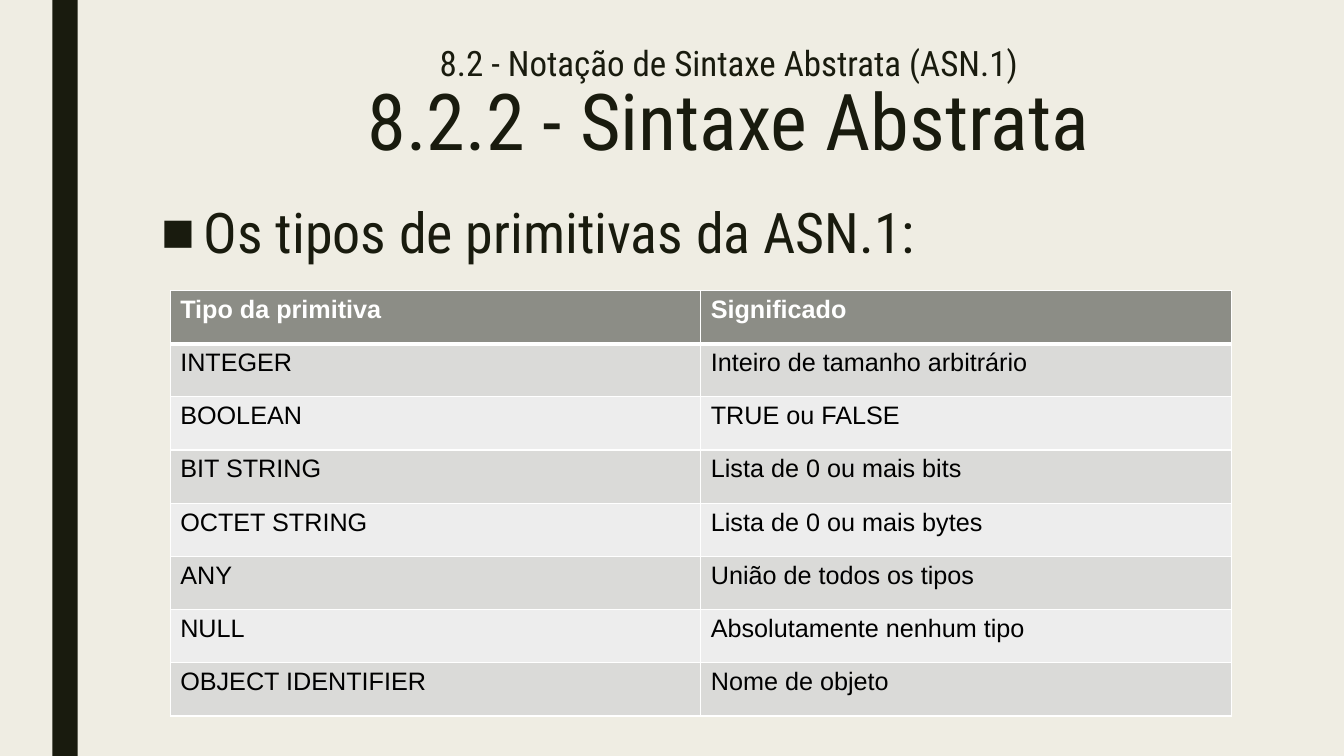
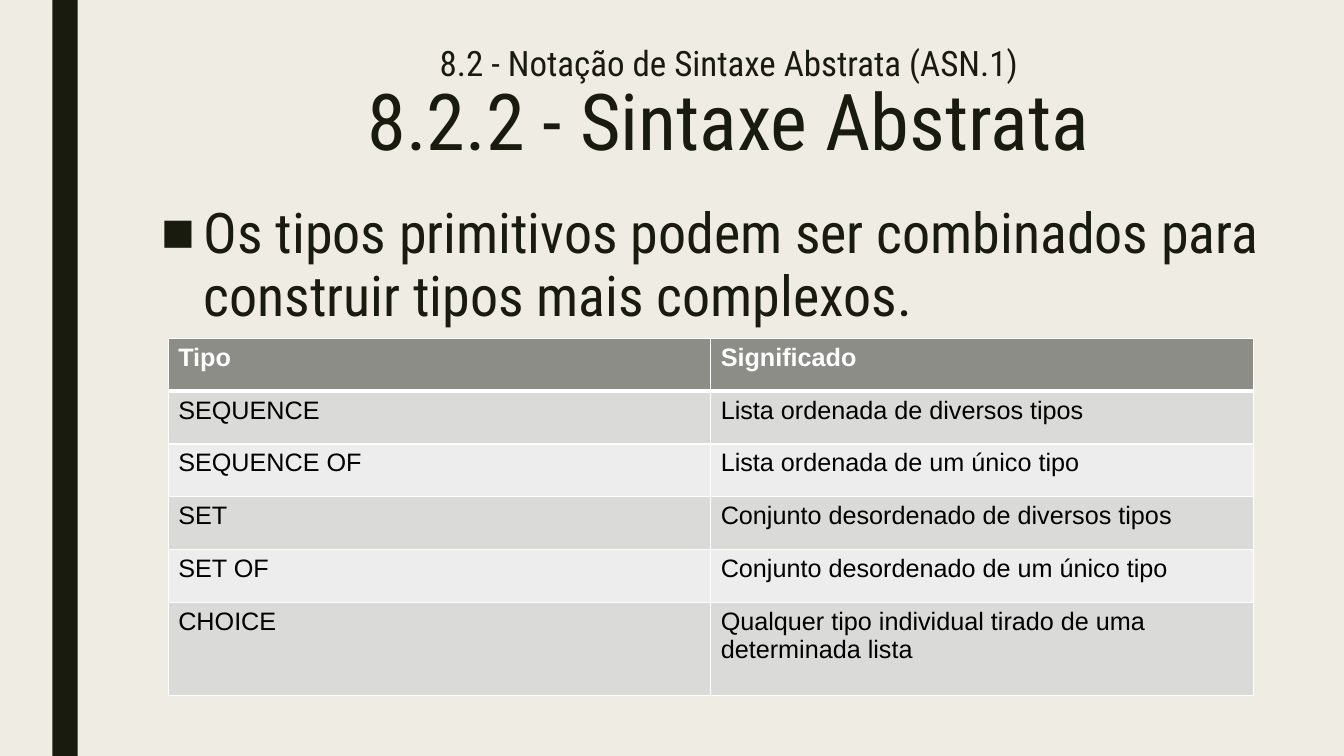
import copy

import lxml.etree
import pptx
import pptx.dml.color
import pptx.enum.shapes
import pptx.enum.text
import pptx.oxml.ns
import pptx.util

Cm = pptx.util.Cm
Pt = pptx.util.Pt
qn = pptx.oxml.ns.qn

# Shared style
INK, PAPER, WHITE, BLACK = "191B0E", "EFEDE3", "FFFFFF", "000000"
HEAD, BANDS = "8C8D86", ("DADAD8", "EDEDED")
FONT, CELL = "Roboto Condensed", "Arial"
LEFT, WIDTH, INDENT = 3.81, 29.11, 1.07


def color(code):
    return pptx.dml.color.RGBColor.from_string(code)


def paint(fill, code):
    fill.solid()
    fill.fore_color.rgb = color(code)


def node(parent, tag, **attrs):
    return lxml.etree.SubElement(parent, qn(tag), attrs)


class Deck:
    def __init__(self):
        self.prs = pptx.Presentation()
        self.prs.slide_width = Cm(33.87)
        self.prs.slide_height = Cm(19.05)
        paint(self.prs.slide_master.background.fill, PAPER)
        self.slide = None

    def page(self):
        self.slide = self.prs.slides.add_slide(self.prs.slide_layouts[1])
        self.bar()

    def bar(self):
        """Dark vertical band, placed behind everything else."""
        shapes = self.slide.shapes
        bar = shapes.add_shape(
            pptx.enum.shapes.MSO_SHAPE.RECTANGLE,
            Cm(1.32), 0, Cm(0.64), self.prs.slide_height)
        bar.shadow.inherit = False
        paint(bar.fill, INK)
        bar.line.fill.background()
        shapes[0].element.addprevious(bar.element)

    def place(self, holder, top, height, anchor):
        """Move a placeholder and return its first paragraph."""
        holder.left, holder.top = Cm(LEFT), Cm(top)
        holder.width, holder.height = Cm(WIDTH), Cm(height)
        frame = holder.text_frame
        frame.word_wrap = True
        frame.auto_size = pptx.enum.text.MSO_AUTO_SIZE.NONE
        frame.vertical_anchor = anchor
        return frame.paragraphs[0]

    def run(self, para, text, size, font=FONT, code=INK, bold=False):
        run = para.add_run()
        run.text = text
        run.font.size = Pt(size)
        run.font.name = font
        run.font.bold = bold
        run.font.color.rgb = color(code)
        return run

    def title(self, small, large):
        para = self.place(self.slide.shapes.title, 1.04, 3.3,
                          pptx.enum.text.MSO_ANCHOR.MIDDLE)
        para.alignment = pptx.enum.text.PP_ALIGN.CENTER
        para.line_spacing = 0.89
        first = self.run(para, small, 25)
        para.add_line_break()
        # The break takes the small size, so the first line stays low
        para._p.find(qn("a:br")).append(copy.deepcopy(first._r.find(qn("a:rPr"))))
        self.run(para, large, 56)

    def bullet(self, text, height):
        para = self.place(self.slide.placeholders[1], 4.98, height,
                          pptx.enum.text.MSO_ANCHOR.TOP)
        para.line_spacing = 0.94
        para.space_before = Pt(0)
        props = para._p.get_or_add_pPr()
        props.set("marL", str(Cm(INDENT)))
        props.set("indent", str(-Cm(INDENT)))
        node(node(props, "a:buClr"), "a:srgbClr", val=INK)
        node(props, "a:buFont", typeface=CELL)
        node(props, "a:buChar", char="■")
        self.run(para, text, 40)

    def edges(self, cell, row):
        """White cell borders, thicker under the header row."""
        props = cell._tc.get_or_add_tcPr()
        wide = {"T": 3 if row == 1 else 1, "B": 3 if row == 0 else 1}
        for side in "LRTB":
            line = node(props, "a:ln" + side, w=str(Pt(wide.get(side, 1))))
            node(node(line, "a:solidFill"), "a:srgbClr", val=WHITE)

    def table(self, left, top, col, heights, rows):
        frame = self.slide.shapes.add_table(
            len(rows), 2, Cm(left), Cm(top), Cm(2 * col), Cm(sum(heights)))
        grid = frame.table
        grid.horz_banding = False
        for column in grid.columns:
            column.width = Cm(col)
        for i, texts in enumerate(rows):
            grid.rows[i].height = Cm(heights[i])
            head = i == 0
            for j, text in enumerate(texts):
                cell = grid.cell(i, j)
                self.edges(cell, i)
                paint(cell.fill, HEAD if head else BANDS[(i - 1) % 2])
                self.run(cell.text_frame.paragraphs[0], text, 18, CELL,
                         WHITE if head else BLACK, head)


PRIMES = [
    ("Tipo da primitiva", "Significado"),
    ("INTEGER", "Inteiro de tamanho arbitrário"),
    ("BOOLEAN", "TRUE ou FALSE"),
    ("BIT STRING", "Lista de 0 ou mais bits"),
    ("OCTET STRING", "Lista de 0 ou mais bytes"),
    ("ANY", "União de todos os tipos"),
    ("NULL", "Absolutamente nenhum tipo"),
    ("OBJECT IDENTIFIER", "Nome de objeto"),
]
GROUPS = [
    ("Tipo", "Significado"),
    ("SEQUENCE", "Lista ordenada de diversos tipos"),
    ("SEQUENCE OF", "Lista ordenada de um único tipo"),
    ("SET", "Conjunto desordenado de diversos tipos"),
    ("SET OF", "Conjunto desordenado de um único tipo"),
    ("CHOICE", "Qualquer tipo individual tirado de uma determinada lista"),
]
# Bullet, its height, then table left, top, column width, row heights, rows
PAGES = [
    ("Os tipos de primitivas da ASN.1:", 2.03,
     (4.29, 7.32, 13.37, [1.34] * 8, PRIMES)),
    ("Os tipos primitivos podem ser combinados para construir tipos mais "
     "complexos.", 3.3,
     (4.24, 8.53, 13.67, [1.33] * 5 + [2.34], GROUPS)),
]


def main():
    deck = Deck()
    for text, height, table in PAGES:
        deck.page()
        deck.title("8.2 - Notação de Sintaxe Abstrata (ASN.1)",
                   "8.2.2 - Sintaxe Abstrata")
        deck.bullet(text, height)
        deck.table(*table)
    deck.prs.save("out.pptx")


if __name__ == "__main__":
    main()
